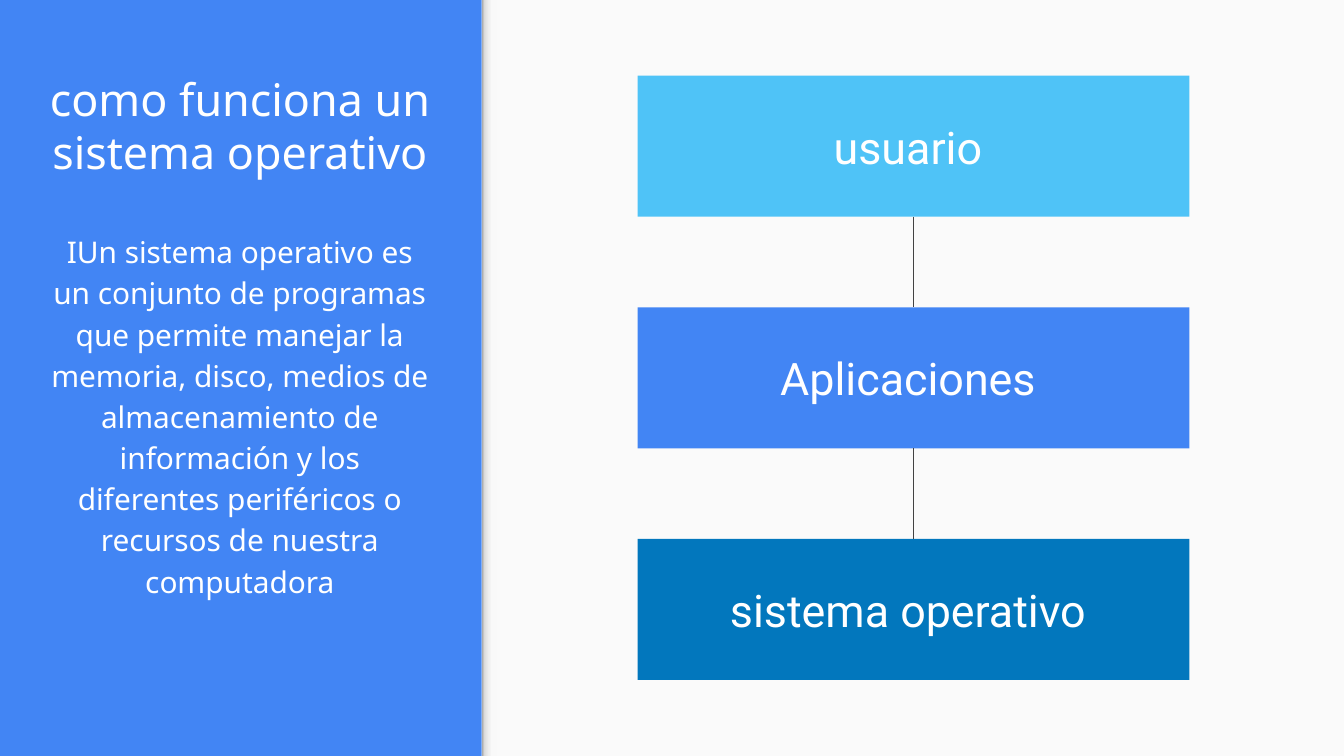
from lxml import etree
from pptx import Presentation
from pptx.dml.color import RGBColor
from pptx.enum.shapes import MSO_CONNECTOR as CONN, MSO_SHAPE as SHAPE
from pptx.enum.text import MSO_ANCHOR as ANCHOR, PP_ALIGN as ALIGN
from pptx.oxml.ns import qn
from pptx.util import Pt

WHITE = RGBColor(0xFF, 0xFF, 0xFF)
PAPER = RGBColor(0xFA, 0xFA, 0xFA)
BLUE = RGBColor(0x42, 0x85, 0xF4)
SKY = RGBColor(0x4F, 0xC3, 0xF7)
DEEP = RGBColor(0x02, 0x77, 0xBD)
GREY = RGBColor(0x42, 0x42, 0x42)

W, H = 720, 405
PANEL_W = 258
MARGIN, COLUMN_W = 18, 221
BOX_X, BOX_Y, BOX_W, BOX_H, BOX_STEP = 341.6, 40.5, 295.6, 75.6, 124.1

TITLE = "como funciona un sistema operativo"
BODY = ("IUn sistema operativo es un conjunto de programas que permite manejar "
        "la memoria, disco, medios de almacenamiento de información y los "
        "diferentes periféricos o recursos de nuestra computadora")
# The trailing spaces shift the centred labels slightly to the left.
LAYERS = [("usuario ", SKY), ("Aplicaciones ", BLUE), ("sistema operativo ", DEEP)]
EDGE_STOPS = [(0, "999999"), (20, "DEDEDE"), (64, "F9F9F9"), (100, "F9F9F9")]


class SlideBuilder:
    text_font, box_font = "Noto Sans", "Roboto"

    def __init__(self, slide):
        self.s = slide

    def background(self, color):
        fill = self.s.background.fill
        fill.solid()
        fill.fore_color.rgb = color

    def rect(self, x, y, w, h, color):
        sp = self.s.shapes.add_shape(SHAPE.RECTANGLE, Pt(x), Pt(y), Pt(w), Pt(h))
        sp.shadow.inherit = False
        sp.line.fill.background()
        sp.fill.solid()
        sp.fill.fore_color.rgb = color
        return sp

    def gradient_rect(self, x, y, w, h, stops):
        """Draw a rectangle that fades from left to right."""
        sp = self.rect(x, y, w, h, PAPER)
        sp.fill.gradient()
        sp.fill.gradient_angle = 0
        gs_list = sp._element.spPr.find(".//" + qn("a:gsLst"))
        for gs in list(gs_list):
            gs_list.remove(gs)
        for pos, color in stops:
            gs = etree.SubElement(gs_list, qn("a:gs"), pos=str(pos * 1000))
            etree.SubElement(gs, qn("a:srgbClr"), val=color)

    def set_text(self, sp, text, font, size, anchor):
        """Set centred white text in a shape and return its paragraph."""
        tf = sp.text_frame
        tf.word_wrap = True
        tf.vertical_anchor = anchor
        tf.margin_left = tf.margin_right = tf.margin_top = tf.margin_bottom = Pt(7.2)
        p = tf.paragraphs[0]
        p.text = text
        p.alignment = ALIGN.CENTER
        p.font.name, p.font.size, p.font.color.rgb = font, Pt(size), WHITE
        return p

    def text(self, x, y, w, h, text, size, anchor):
        sp = self.s.shapes.add_textbox(Pt(x), Pt(y), Pt(w), Pt(h))
        return self.set_text(sp, text, self.text_font, size, anchor)

    def box(self, x, y, w, h, text, color):
        sp = self.rect(x, y, w, h, color)
        self.set_text(sp, text, self.box_font, 24, ANCHOR.MIDDLE)
        return sp

    def link(self, upper, lower):
        """Join the bottom of one box to the top of the next."""
        line = self.s.shapes.add_connector(CONN.STRAIGHT, 0, 0, 0, 0)
        line.begin_connect(upper, 2)
        line.end_connect(lower, 0)
        line.line.color.rgb = GREY
        line.line.width = Pt(0.75)
        etree.SubElement(line._element.spPr, qn("a:effectLst"))


def main():
    prs = Presentation()
    prs.slide_width, prs.slide_height = Pt(W), Pt(H)
    b = SlideBuilder(prs.slides.add_slide(prs.slide_layouts[6]))

    b.background(BLUE)
    b.rect(PANEL_W, 0, W - PANEL_W, H, PAPER)
    b.gradient_rect(PANEL_W, 0, 8.5, H, EDGE_STOPS)

    b.text(MARGIN, 28, COLUMN_W, 75, TITLE, 24, ANCHOR.BOTTOM)
    p = b.text(MARGIN, 115.3, COLUMN_W, 249, BODY, 16, ANCHOR.TOP)
    p.line_spacing = 1.15
    p.space_after = Pt(16)

    boxes = [b.box(BOX_X, BOX_Y + i * BOX_STEP, BOX_W, BOX_H, label, color)
             for i, (label, color) in enumerate(LAYERS)]
    for upper, lower in zip(boxes, boxes[1:]):
        b.link(upper, lower)

    prs.save("out.pptx")


if __name__ == "__main__":
    main()
